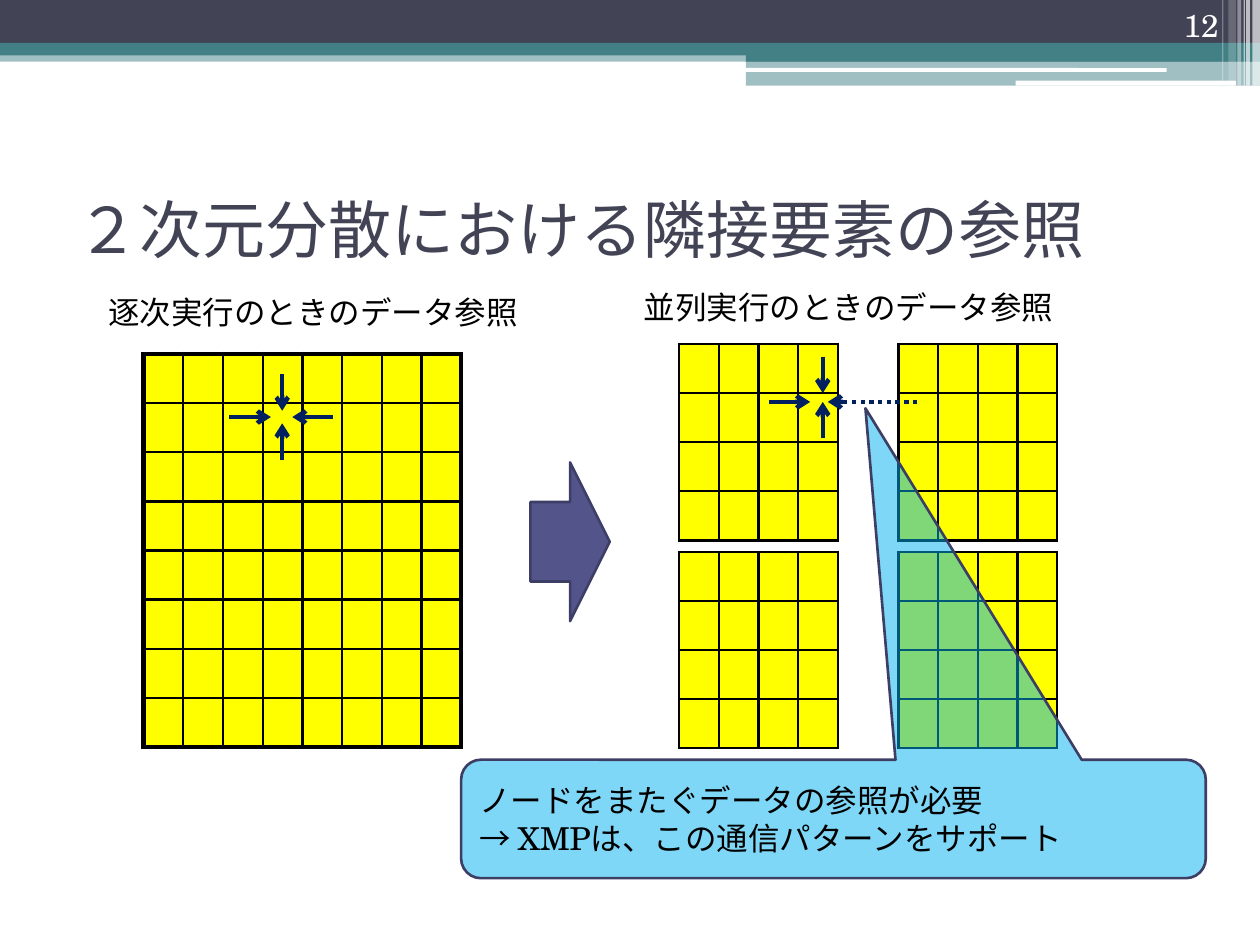
from itertools import product
from typing import NamedTuple

from lxml.etree import SubElement
from pptx import Presentation
from pptx.dml.color import RGBColor
from pptx.enum.dml import MSO_LINE
from pptx.enum.shapes import MSO_CONNECTOR, MSO_SHAPE
from pptx.enum.text import MSO_ANCHOR, PP_ALIGN
from pptx.oxml.ns import qn
from pptx.util import Inches, Pt

SLATE = RGBColor(0x42, 0x44, 0x56)
TEAL = RGBColor(0x43, 0x80, 0x86)
WHITE = RGBColor(0xFF, 0xFF, 0xFF)
BLACK = RGBColor(0, 0, 0)
YELLOW = RGBColor(0xFF, 0xFF, 0)
NAVY = RGBColor(0, 0x20, 0x60)
INDIGO = RGBColor(0x53, 0x54, 0x8A)
INDIGO_EDGE = RGBColor(0x3D, 0x3E, 0x66)
SKY = RGBColor(0, 0xB0, 0xF0)

TITLE_FONT, BODY_FONT = "Karla", "TeX Gyre Schola"
ROW_HEIGHT = 0.39
INNER_BORDER = 1.5


class Box(NamedTuple):
    left: float
    top: float
    width: float
    height: float

    def lengths(self):
        return [Inches(value) for value in self]


class Band(NamedTuple):
    box: Box
    color: RGBColor
    opacity: int = 100
    preset: MSO_SHAPE = MSO_SHAPE.RECTANGLE


class Grid(NamedTuple):
    left: float
    top: float
    width: float
    count: int
    outer_border: float


class Arrow(NamedTuple):
    start: tuple[float, float]
    tip: tuple[float, float]
    dotted: bool = False


class Label(NamedTuple):
    text: str
    box: Box
    color: RGBColor = BLACK
    format: dict = {}


BANDS = [
    Band(Box(0, 0.4, 10, 0.09), TEAL, 50),
    Band(Box(0, 0, 10, 0.34), SLATE),
    Band(Box(0, 0.34, 10, 0.1), TEAL),
    Band(Box(5.92, 0.39, 4.08, 0.1), TEAL),
    Band(Box(5.92, 0.48, 4.08, 0.2), TEAL, 50),
    Band(Box(5.91, 0.54, 3.35, 0.03), WHITE, preset=MSO_SHAPE.ROUNDED_RECTANGLE),
    Band(Box(8.06, 0.64, 1.75, 0.04), WHITE, preset=MSO_SHAPE.ROUNDED_RECTANGLE),
    Band(Box(9.94, 0, 0.06, 0.68), WHITE, 65),
    Band(Box(9.89, 0, 0.03, 0.68), WHITE, 65),
    Band(Box(9.87, 0, 0.01, 0.68), WHITE, 60),
    Band(Box(9.82, 0, 0.03, 0.68), WHITE, 40),
    Band(Box(9.75, 0, 0.06, 0.64), WHITE, 20),
    Band(Box(9.7, 0, 0.01, 0.64), WHITE, 30),
]
SEQUENTIAL_GRID = Grid(1.14, 2.81, 2.52, 8, 3)
NODE_GRIDS = [Grid(left, top, 1.26, 4, INNER_BORDER)
              for top, left in product((2.73, 4.38), (5.39, 7.13))]
ARROWS = [
    Arrow((6.53, 2.83), (6.53, 3.12)),
    Arrow((6.53, 3.48), (6.53, 3.19)),
    Arrow((6.1, 3.19), (6.43, 3.19)),
    Arrow((7.28, 3.19), (6.57, 3.19), dotted=True),
    Arrow((2.24, 2.97), (2.24, 3.26)),
    Arrow((2.24, 3.65), (2.24, 3.36)),
    Arrow((1.82, 3.31), (2.15, 3.31)),
    Arrow((2.64, 3.31), (2.32, 3.31)),
]
LABELS = [
    Label("並列実行のときのデータ参照", Box(5.01, 2.24, 3.48, 0.4), format={"word_wrap": False}),
    Label("逐次実行のときのデータ参照", Box(0.76, 2.28, 3.48, 0.4), format={"word_wrap": False}),
    Label("12", Box(8.94, 0, 0.83, 0.4), WHITE,
          {"word_wrap": True, "vertical_anchor": MSO_ANCHOR.BOTTOM}),
]


def write(frame, text: str, color: RGBColor, size: int = 18, font_name: str = BODY_FONT,
          align: PP_ALIGN = PP_ALIGN.LEFT) -> None:
    paragraph = frame.paragraphs[0]
    paragraph.text = text
    paragraph.alignment = align
    for run in paragraph.runs:
        for name, value in {"size": Pt(size), "name": font_name}.items():
            setattr(run.font, name, value)
        run.font.color.rgb = color


def add_filled(slide, preset: MSO_SHAPE, box: Box, color: RGBColor, opacity: int = 100,
               edge: RGBColor | None = None):
    shape = slide.shapes.add_shape(preset, *box.lengths())
    shape.shadow.inherit = False
    shape.fill.solid()
    shape.fill.fore_color.rgb = color
    if opacity < 100:
        color_node = shape.fill._xPr.find(qn("a:solidFill"))[0]
        SubElement(color_node, qn("a:alpha"), val=str(opacity * 1000))
    if edge is None:
        shape.line.fill.background()
    else:
        shape.line.color.rgb = edge
        shape.line.width = Pt(1.5)
    return shape


def add_grid(slide, grid: Grid) -> None:
    box = Box(grid.left, grid.top, grid.width, grid.count * ROW_HEIGHT)
    table = slide.shapes.add_table(grid.count, grid.count, *box.lengths()).table
    table.first_row = table.horz_banding = False
    last = grid.count - 1
    for row, column in product(range(grid.count), repeat=2):
        cell = table.cell(row, column)
        cell.margin_top = cell.margin_bottom = 0
        on_edge = {"L": column == 0, "R": column == last, "T": row == 0, "B": row == last}
        for side, outer in on_edge.items():
            width = Pt(grid.outer_border if outer else INNER_BORDER)
            border = SubElement(cell._tc.get_or_add_tcPr(), qn(f"a:ln{side}"), w=str(width))
            SubElement(SubElement(border, qn("a:solidFill")), qn("a:srgbClr"), val=str(BLACK))
        cell.fill.solid()
        cell.fill.fore_color.rgb = YELLOW


def add_arrow(slide, arrow: Arrow) -> None:
    ends = [Inches(value) for value in (*arrow.start, *arrow.tip)]
    connector = slide.shapes.add_connector(MSO_CONNECTOR.STRAIGHT, *ends)
    connector.line.color.rgb = NAVY
    connector.line.width = Pt(2.5)
    if arrow.dotted:
        connector.line.dash_style = MSO_LINE.ROUND_DOT
    SubElement(connector.line._get_or_add_ln(), qn("a:tailEnd"), type="arrow")
    SubElement(connector._element.spPr, qn("a:effectLst"))


def add_label(slide, label: Label) -> None:
    frame = slide.shapes.add_textbox(*label.box.lengths()).text_frame
    for name, value in label.format.items():
        setattr(frame, name, value)
    align = PP_ALIGN.RIGHT if label.color == WHITE else PP_ALIGN.LEFT
    write(frame, label.text, label.color, align=align)


def add_title(slide) -> None:
    title = slide.shapes.title
    title.left, title.top, title.width, title.height = Box(0.51, 1.23, 9, 1.17).lengths()
    title.text_frame.vertical_anchor = MSO_ANCHOR.MIDDLE
    write(title.text_frame, "２次元分散における隣接要素の参照", SLATE, 36, TITLE_FONT)


def add_callout(slide) -> None:
    callout = add_filled(slide, MSO_SHAPE.ROUNDED_RECTANGULAR_CALLOUT,
                         Box(3.66, 6.03, 5.91, 0.94), SKY, 50, INDIGO_EDGE)
    for index, value in enumerate((0.043, -3.467, 0.167)):
        callout.adjustments[index] = value
    callout.text_frame.vertical_anchor = MSO_ANCHOR.MIDDLE
    write(callout.text_frame,
          "ノードをまたぐデータの参照が必要\v→ XMPは、この通信パターンをサポート", BLACK)


def main() -> None:
    deck = Presentation()
    deck.slide_width, deck.slide_height = Inches(10), Inches(7.5)
    slide = deck.slides.add_slide(deck.slide_layouts[5])
    for band in BANDS:
        add_filled(slide, band.preset, band.box, band.color, band.opacity)
    add_title(slide)
    for grid in (SEQUENTIAL_GRID, *NODE_GRIDS):
        add_grid(slide, grid)
    add_filled(slide, MSO_SHAPE.RIGHT_ARROW, Box(4.21, 3.67, 0.63, 1.26), INDIGO,
               edge=INDIGO_EDGE)
    add_callout(slide)
    for arrow in ARROWS:
        add_arrow(slide, arrow)
    for label in LABELS:
        add_label(slide, label)
    deck.save("out.pptx")


if __name__ == "__main__":
    main()
